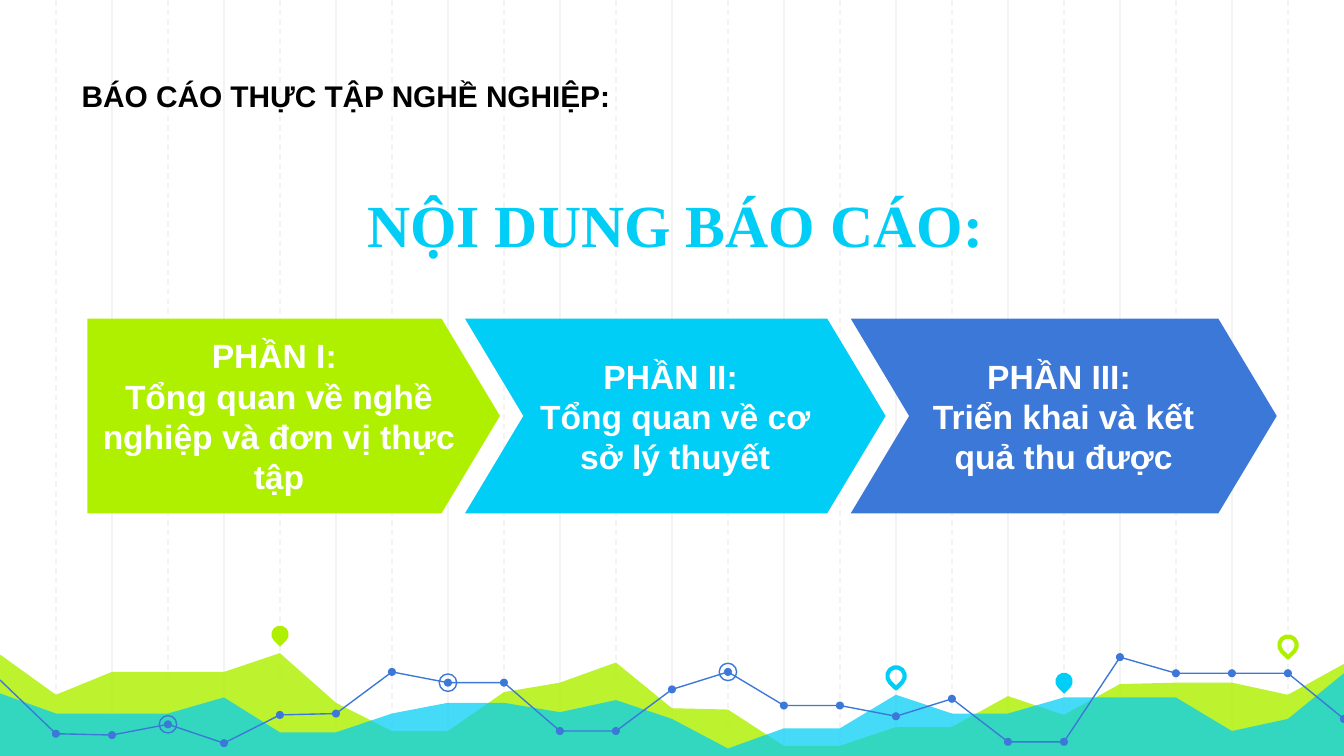
import pptx
import pptx.dml.color
import pptx.enum.dml
import pptx.enum.shapes
import pptx.enum.text
import pptx.oxml
import pptx.oxml.ns
import pptx.util

Inches = pptx.util.Inches
Pt = pptx.util.Pt
RGBColor = pptx.dml.color.RGBColor
Shape = pptx.enum.shapes.MSO_SHAPE
Anchor = pptx.enum.text.MSO_ANCHOR
Align = pptx.enum.text.PP_ALIGN

LIME = RGBColor(0xAF, 0xF0, 0x00)
CYAN = RGBColor(0x00, 0xCE, 0xF6)
BLUE = RGBColor(0x3C, 0x78, 0xD8)
GRID = RGBColor(0xF3, 0xF3, 0xF3)
WHITE = RGBColor(0xFF, 0xFF, 0xFF)
BLACK = RGBColor(0x00, 0x00, 0x00)

WIDTH = 10
HEIGHT = WIDTH * 9 / 16
COLUMNS = 24

LIME_DEPTHS = [0.27, 0.57, 0.4, 0.4, 0.4, 0.26, 0.63, 0.84, 0.84, 0.55, 0.48, 0.33, 0.67,
               0.68, 0.95, 0.95, 0.81, 0.81, 0.58, 0.72, 0.49, 0.48, 0.48, 0.57, 0.34]
CYAN_DEPTHS = [0.56, 0.71, 0.71, 0.71, 0.59, 0.85, 0.85, 0.71, 0.63, 0.63, 0.7, 0.61, 0.75,
               0.97, 0.82, 0.82, 0.57, 0.71, 0.71, 0.59, 0.59, 0.59, 0.84, 0.75, 0.41]
LINE_DEPTHS = [0.46, 0.86, 0.87, 0.79, 0.93, 0.72, 0.71, 0.4, 0.48, 0.48, 0.84, 0.84, 0.53,
               0.4, 0.65, 0.65, 0.73, 0.6, 0.92, 0.92, 0.29, 0.41, 0.41, 0.41, 0.75]
LINE_SECTIONS = [(0, 11), (11, 20), (20, 24)]
RING_COLUMNS = [3, 8, 13]
MARKERS = [(5, 0.12, LIME, True), (16, 0.43, CYAN, False),
           (19, 0.47, CYAN, True), (23, 0.2, LIME, False)]
PARTS = [
    (Shape.PENTAGON, 0, 3.07, LIME, "PHẦN I: ", "Tổng quan về nghề nghiệp và đơn vị thực tập"),
    (Shape.CHEVRON, 2.81, 3.13, CYAN, "PHẦN II: ", "Tổng quan về cơ sở lý thuyết"),
    (Shape.CHEVRON, 5.68, 3.17, BLUE, "PHẦN III: ", "Triển khai và kết quả thu được"),
]


def paint(shape, fill=None, line=None, weight=0.75):
    """Set fill and outline of a shape, leaving out whichever is None."""
    shape.shadow.inherit = False
    if fill is None:
        shape.fill.background()
    else:
        shape.fill.solid()
        shape.fill.fore_color.rgb = fill
    if line is None:
        shape.line.fill.background()
    else:
        shape.line.color.rgb = line
        shape.line.width = Pt(weight)


def set_text(shape, lines, size, color, font, align, anchor):
    """Write bold lines into a shape and format them."""
    frame = shape.text_frame
    frame.text = "\n".join(lines)
    frame.word_wrap = True
    frame.vertical_anchor = anchor
    for para in frame.paragraphs:
        para.alignment = align
        for span in para.runs:
            span.font.size = Pt(size)
            span.font.bold = True
            span.font.name = font
            span.font.color.rgb = color


def set_margins(shape, margin):
    """Give a shape the same text margin on all sides."""
    frame = shape.text_frame
    frame.margin_left = frame.margin_right = Inches(margin)
    frame.margin_top = frame.margin_bottom = Inches(margin)


def add_grid(page, left, top, width, height):
    """Draw vertical lines, every other one dashed."""
    for column in range(1, COLUMNS):
        x = Inches(left + width * column / COLUMNS)
        line = page.shapes.add_connector(
            pptx.enum.shapes.MSO_CONNECTOR.STRAIGHT, x, Inches(top), x, Inches(top + height))
        line.line.color.rgb = GRID
        line.line.width = Pt(0.75)
        if column % 2:
            line.line.dash_style = pptx.enum.dml.MSO_LINE.DASH
        line.element.spPr.append(pptx.oxml.parse_xml(
            "<a:effectLst %s/>" % pptx.oxml.ns.nsdecls("a")))


def add_path(page, points, closed):
    """Build a freeform through points given in inches."""
    start, *rest = [(Inches(x), Inches(y)) for x, y in points]
    builder = page.shapes.build_freeform(*start)
    builder.add_line_segments(rest, close=closed)
    return builder.convert_to_shape()


def add_centred(page, kind, x, y, size):
    """Add a square-sized preset shape centred on a point."""
    return page.shapes.add_shape(
        kind, Inches(x - size / 2), Inches(y - size / 2), Inches(size), Inches(size))


def add_landscape(page, left, top, width, height):
    """Draw the layered areas, the dotted line and the markers."""
    def place(column, depth):
        """Return the point at a column and a depth below the box top."""
        return left + width * column / COLUMNS, top + depth

    for depths, color, opacity in [(LIME_DEPTHS, LIME, 82), (CYAN_DEPTHS, CYAN, 73)]:
        ridge = [place(*point) for point in enumerate(depths)]
        corners = [place(COLUMNS, height), place(0, height)]
        area = add_path(page, ridge + corners, True)
        paint(area, fill=color)
        tint = area.element.spPr.find(".//" + pptx.oxml.ns.qn("a:srgbClr"))
        tint.append(pptx.oxml.parse_xml(
            '<a:alpha %s val="%d"/>' % (pptx.oxml.ns.nsdecls("a"), opacity * 1000)))

    for column, depth, color, solid in MARKERS:
        marker = add_centred(page, Shape.TEAR, *place(column, depth), 0.13)
        marker.rotation = 135
        if solid:
            paint(marker, fill=color)
        else:
            paint(marker, line=color, weight=2.25)

    stops = [place(*point) for point in enumerate(LINE_DEPTHS)]
    for first, last in LINE_SECTIONS:
        paint(add_path(page, stops[first:last + 1], False), line=BLUE)
    for stop in stops[1:]:
        paint(add_centred(page, Shape.OVAL, *stop, 0.06), fill=BLUE)
    for column in RING_COLUMNS:
        paint(add_centred(page, Shape.OVAL, *stops[column], 0.13), line=BLUE)


def add_title(page, left, top, width, height):
    """Move the title placeholder in front of the backdrop and fill it."""
    title = page.shapes.title
    title.element.getparent().append(title.element)
    title.left, title.top = Inches(left), Inches(top)
    title.width, title.height = Inches(width), Inches(height)
    set_margins(title, 0.1)
    set_text(title, ["NỘI DUNG BÁO CÁO:"], 32, CYAN, "Times New Roman",
             Align.CENTER, Anchor.BOTTOM)


def add_parts(page, left, top, height):
    """Draw the row of arrows that name the parts of the report."""
    for kind, offset, width, color, heading, topic in PARTS:
        arrow = page.shapes.add_shape(
            kind, Inches(left + offset), Inches(top), Inches(width), Inches(height))
        arrow.adjustments[0] = 0.3
        paint(arrow, fill=color)
        set_margins(arrow, 0.1)
        set_text(arrow, [heading, topic], 18, WHITE, "Arial", Align.CENTER, Anchor.MIDDLE)


def add_header(page, left, top, width, height):
    """Write the report name at the top."""
    box = page.shapes.add_textbox(Inches(left), Inches(top), Inches(width), Inches(height))
    set_text(box, ["BÁO CÁO THỰC TẬP NGHỀ NGHIỆP:"], 16, BLACK, "Arial",
             Align.LEFT, Anchor.TOP)


def main():
    """Build the slide and save the deck."""
    deck = pptx.Presentation()
    deck.slide_width, deck.slide_height = Inches(WIDTH), Inches(HEIGHT)
    page = deck.slides.add_slide(deck.slide_layouts[5])
    add_grid(page, 0, 0, WIDTH, HEIGHT)
    add_landscape(page, 0, 4.6, WIDTH, HEIGHT - 4.6)
    add_title(page, 1.2, 1.25, 7.65, 0.78)
    add_parts(page, 0.65, 2.37, 1.45)
    add_header(page, 0.51, 0.53, 4.87, 0.37)
    deck.save("out.pptx")


if __name__ == "__main__":
    main()
